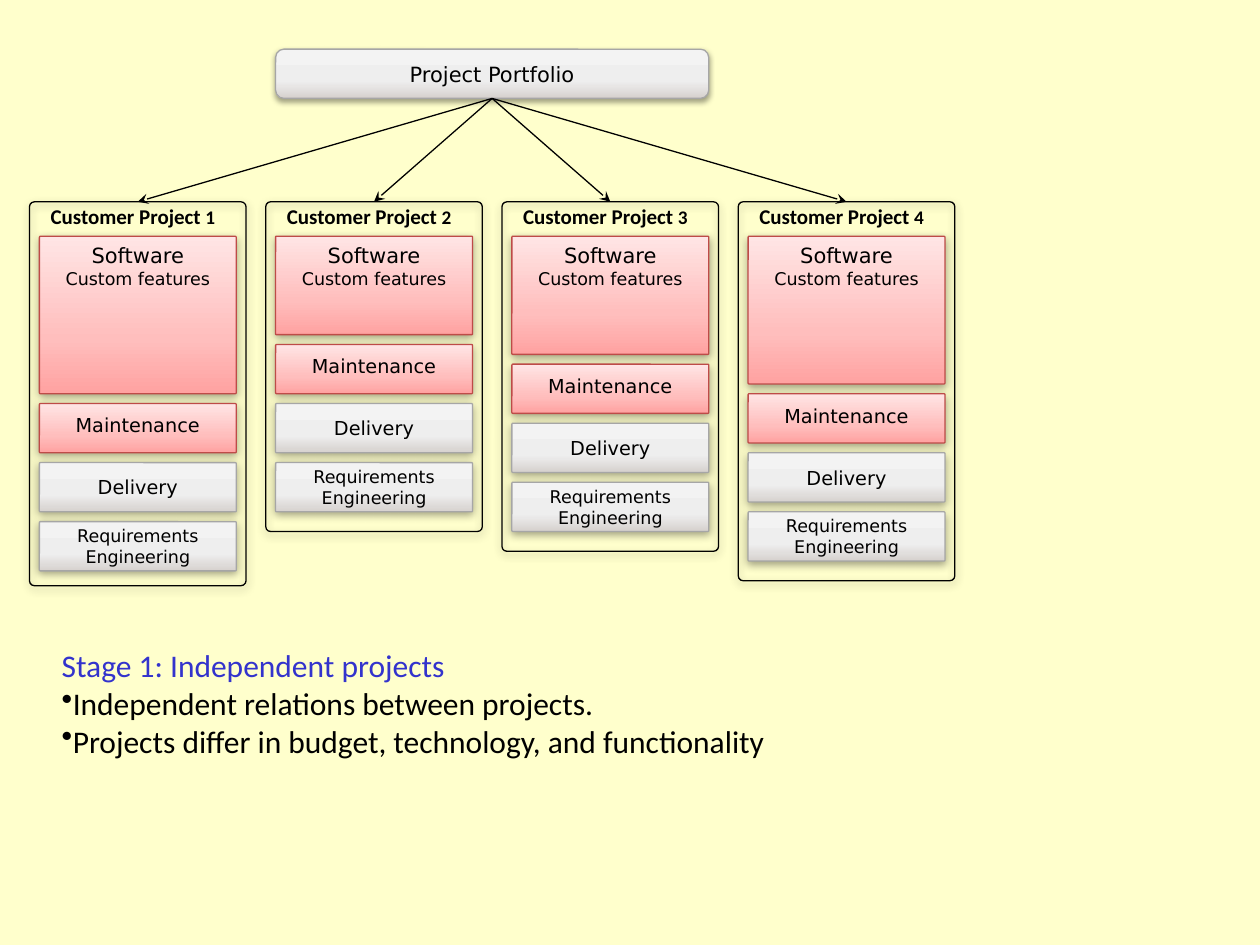
from lxml import etree
from pptx import Presentation
from pptx.dml.color import RGBColor
from pptx.enum.shapes import MSO_CONNECTOR, MSO_SHAPE
from pptx.enum.text import MSO_ANCHOR, PP_ALIGN
from pptx.oxml.ns import qn
from pptx.util import Inches, Pt

ROUND = MSO_SHAPE.ROUNDED_RECTANGLE
STRAIGHT = MSO_CONNECTOR.STRAIGHT
TOP, MIDDLE = MSO_ANCHOR.TOP, MSO_ANCHOR.MIDDLE
LEFT, CENTER = PP_ALIGN.LEFT, PP_ALIGN.CENTER

COLORS = {"page": "FFFFCC", "text": "000000", "stage": "3333CC",
          "red": "BE4B48", "gray": "A6A6A6"}
GRADES = {"red": ("FFE5E5", "FFBEBD", "FFA2A1"),
          "gray": ("F3F3F3", "EEEEEE", "D6D1CE")}
SANS, HEAD = "DejaVu Sans", "Calibri"

deck = Presentation()
deck.slide_width, deck.slide_height = Inches(10), Inches(7.5)
slide = deck.slides.add_slide(deck.slide_layouts[6])
slide.background.fill.solid()
slide.background.fill.fore_color.rgb = RGBColor.from_string(COLORS["page"])
shapes = slide.shapes
UNIT = deck.slide_height / 96  # the grid has 96 rows, square cells


def write(frame, lines, font=SANS, align=CENTER, color="text", bold=False):
    """Fill a text frame; each line is a list of (text, size) runs."""
    frame.word_wrap = True
    for i, line in enumerate(lines):
        para = frame.paragraphs[0] if i == 0 else frame.add_paragraph()
        para.alignment = align
        for text, size in line:
            run = para.add_run()
            run.text = text
            run.font.size, run.font.name, run.font.bold = Pt(size), font, bold
            run.font.color.rgb = RGBColor.from_string(COLORS[color])


def box(x, y, w, h, curve, tone=None, blur=5):
    """Draw a shadowed round box in grid units; no tone means no fill."""
    shape = shapes.add_shape(ROUND, *(round(n * UNIT) for n in (x, y, w, h)))
    shape.adjustments[0] = curve
    shape.line.color.rgb = RGBColor.from_string(COLORS[tone or "text"])
    shape.line.width = Pt(0.75)
    if tone:
        shape.fill.gradient()
        grad = shape._element.spPr.find(qn("a:gradFill"))
        for child in list(grad):
            grad.remove(child)
        stops = etree.SubElement(grad, qn("a:gsLst"))
        for share, color in zip((0, 65, 100), GRADES[tone]):
            stop = etree.SubElement(stops, qn("a:gs"), pos=str(share * 1000))
            etree.SubElement(stop, qn("a:srgbClr"), val=color)
        etree.SubElement(grad, qn("a:lin"), ang="5400000", scaled="0")
    else:
        shape.fill.background()
    shape.shadow.inherit = False
    effects = shape._element.spPr.find(qn("a:effectLst"))
    shade = etree.SubElement(effects, qn("a:outerShdw"), blurRad=str(Pt(blur)),
                             dist=str(Pt(1.6)), dir="5400000", rotWithShape="0")
    black = etree.SubElement(shade, qn("a:srgbClr"), val=COLORS["text"])
    etree.SubElement(black, qn("a:alpha"), val="37000")
    return shape


root = box(28, 5, 44, 5, 0.167, "gray", 3.1)
root.text_frame.vertical_anchor = MIDDLE
write(root.text_frame, [[("Project Portfolio", 12)]])

# Height of the software box and of the whole frame, by project
sizes = [(16, 39), (10, 33.5), (12, 35.5), (15, 38.5)]
parts = [("Maintenance", 11, "red", TOP), ("Delivery", 11, "gray", MIDDLE),
         ("Requirements Engineering", 10, "gray", MIDDLE)]

for i, (soft, tall) in enumerate(sizes):
    left = 3 + 24 * i
    frame = box(left, 20.5, 22, tall, 0.023)

    arrow = shapes.add_connector(STRAIGHT, 0, 0, 0, 0)
    arrow.begin_connect(root, 2)
    arrow.end_connect(frame, 0)
    arrow.line.color.rgb = RGBColor.from_string(COLORS["text"])
    arrow.line.width = Pt(0.75)
    etree.SubElement(arrow.line._get_or_add_ln(), qn("a:tailEnd"), type="stealth")
    etree.SubElement(arrow._element.spPr, qn("a:effectLst"))

    title = shapes.add_textbox(*(round(n * UNIT) for n in (left + 0.75, 20, 19.5, 4)))
    write(title.text_frame, [[("Customer Project", 12), (f" {i + 1}", 11)]],
          HEAD, bold=True)

    top = box(left + 1, 24, 20, soft, 0.007, "red")
    top.text_frame.vertical_anchor = TOP
    write(top.text_frame, [[("Software", 12)], [("Custom features", 10)]])

    for j, (text, size, tone, anchor) in enumerate(parts):
        part = box(left + 1, 25 + soft + 6 * j, 20, 5, 0.02, tone)
        body = part.text_frame
        body.vertical_anchor = anchor
        if anchor == TOP:
            body.margin_top = round(UNIT)
        if size == 10:
            body.margin_left = body.margin_right = 0
        write(body, [[(text, size)]])

notes = shapes.add_textbox(*(round(n * UNIT) for n in (5, 65, 94, 13))).text_frame
write(notes, [[("Stage 1: Independent projects", 18)],
              [("Independent relations between projects.", 18)],
              [("Projects differ in budget, technology, and functionality", 18)]],
      HEAD, LEFT)
stage, *points = notes.paragraphs
stage.runs[0].font.color.rgb = RGBColor.from_string(COLORS["stage"])
for point in points:
    etree.SubElement(point._p.get_or_add_pPr(), qn("a:buChar"), char="•")

deck.save("out.pptx")
